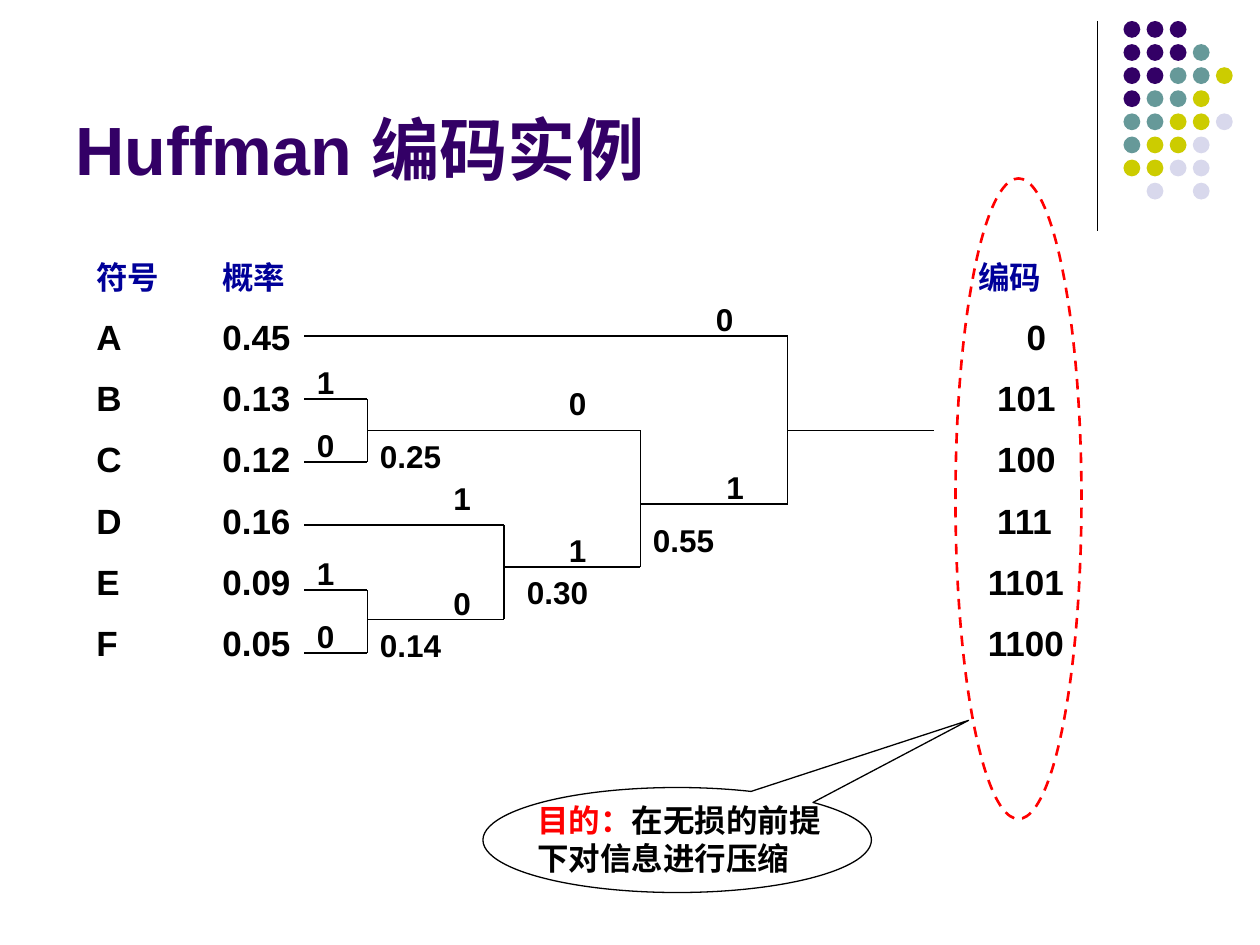
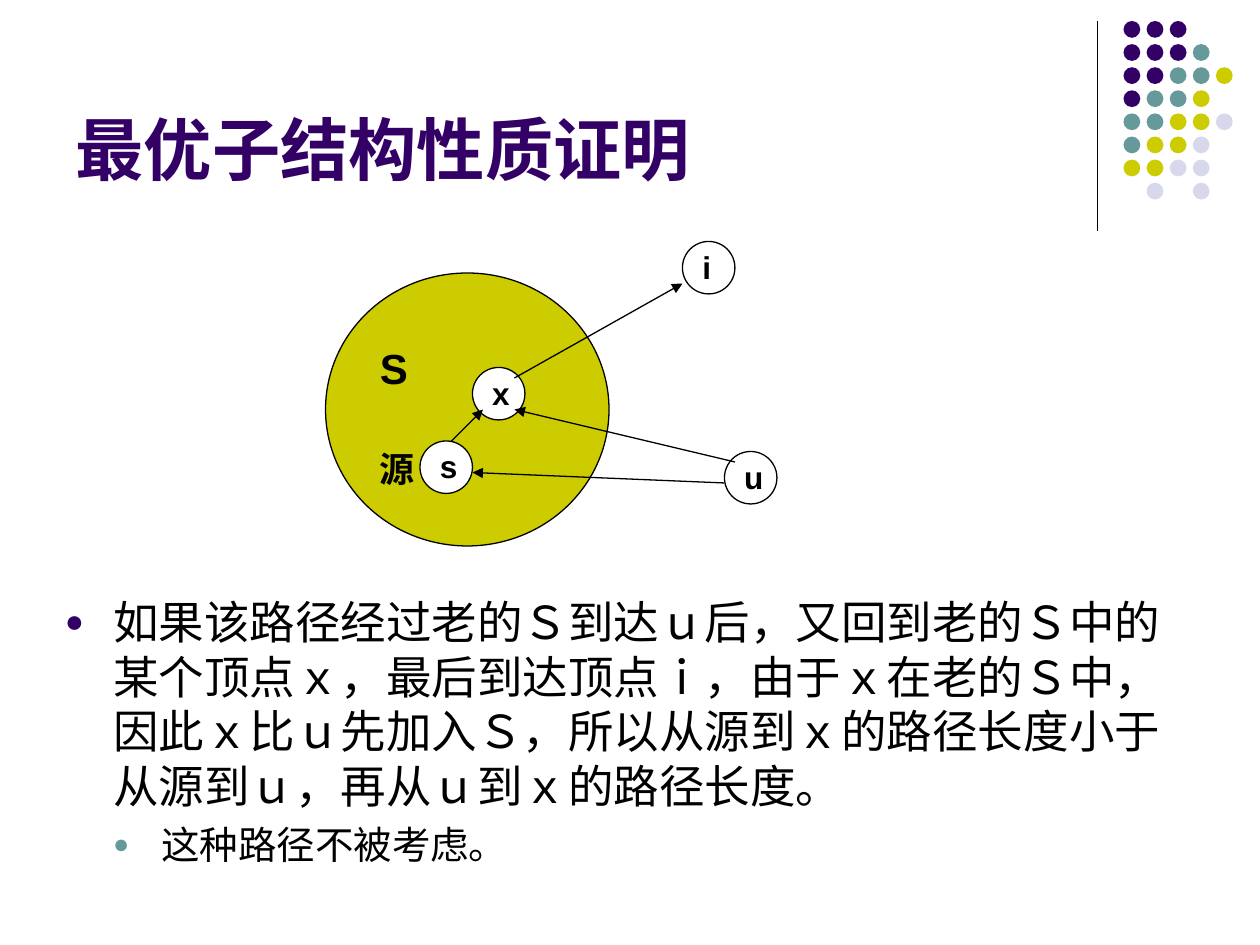
from lxml.etree import SubElement
from pptx import Presentation
from pptx.dml.color import RGBColor
from pptx.enum.dml import MSO_LINE
from pptx.enum.shapes import MSO_CONNECTOR, MSO_SHAPE
from pptx.enum.text import MSO_ANCHOR, MSO_AUTO_SIZE, PP_ALIGN
from pptx.oxml.ns import qn
from pptx.util import Pt

PX = 7620  # EMU per px, 120 px to the inch
FONT = "Arial"
TITLE_ONLY = 5
OVAL = MSO_SHAPE.OVAL
CALLOUT = MSO_SHAPE.OVAL_CALLOUT
STRAIGHT = MSO_CONNECTOR.STRAIGHT
DASH = MSO_LINE.DASH
BOTTOM = MSO_ANCHOR.BOTTOM
LEFT = PP_ALIGN.LEFT
FIXED = MSO_AUTO_SIZE.NONE

COLORS = {
    "black": "000000", "white": "FFFFFF", "red": "FF0000", "navy": "000099",
    "plum": "330066", "teal": "669999", "lime": "CCCC00", "mist": "D8D8EC",
}

# Dot pattern of the corner mark
DOTS = ["PPP", "PPPT", "PPTTY", "PTTY", "TTYYL", "TYYL", "YYLL", ".L.L"]
DOT_INK = {"P": "plum", "T": "teal", "Y": "lime", "L": "mist"}

# Symbol, probability, code and indent of the code
ROWS = [
    ("符号", "概率", "编码", 0),
    ("A", "0.45", "0", 46),
    ("B", "0.13", "101", 18),
    ("C", "0.12", "100", 18),
    ("D", "0.16", "111", 18),
    ("E", "0.09", "1101", 9),
    ("F", "0.05", "1100", 9),
]

# Upper branch, lower branch, x of the joint, labels
MERGES = [
    ((0, 100), (0, 160), 60,
     [("1", 0, 60), ("0", 0, 120), ("0.25", 60, 130)]),
    ((0, 282), (0, 342), 60,
     [("1", 0, 242), ("0", 0, 302), ("0.14", 60, 310)]),
    ((0, 220), (60, 310), 190,
     [("1", 130, 170), ("0", 130, 270), ("0.30", 200, 260)]),
    ((60, 130), (190, 260), 320,
     [("0", 240, 80), ("1", 240, 220), ("0.55", 320, 210)]),
    ((0, 40), (320, 200), 460, [("0", 380, 0), ("1", 390, 160)]),
]

NODES = [("x", 140, 120), ("i", 340, 0), ("u", 380, 200), ("s", 90, 190)]
ARROWS = [
    ((180, 130), (340, 40)),
    ((120, 190), (150, 160)),
    ((380, 230), (140, 220)),
    ((390, 210), (180, 160)),
]

PROOF = ("如果该路径经过老的Ｓ到达ｕ后，又回到老的Ｓ中的某个顶点ｘ，"
         "最后到达顶点ｉ，由于ｘ在老的Ｓ中，因此ｘ比ｕ先加入Ｓ，"
         "所以从源到ｘ的路径长度小于从源到ｕ，再从ｕ到ｘ的路径长度。")


def rgb(name):
    return RGBColor.from_string(COLORS[name])


def scale(*values):
    return [round(v * PX) for v in values]


def add_run(para, text, size, color="black", bold=True):
    run = para.add_run()
    run.text = text
    font = run.font
    font.name, font.size, font.bold = FONT, Pt(size), bold
    font.color.rgb = rgb(color)


def add_box(shapes, x, y, w, h):
    frame = shapes.add_textbox(*scale(x, y, w, h)).text_frame
    frame.word_wrap = True
    return frame


def add_label(shapes, text, x, y, w=40, h=48, size=18):
    add_run(add_box(shapes, x, y, w, h).paragraphs[0], text, size)


def add_form(shapes, kind, x, y, w, h, fill=None, line="black", width=0.75):
    form = shapes.add_shape(kind, *scale(x, y, w, h))
    form.shadow.inherit = False
    if fill:
        form.fill.solid()
        form.fill.fore_color.rgb = rgb(fill)
    else:
        form.fill.background()
    if line:
        form.line.color.rgb = rgb(line)
        form.line.width = Pt(width)
    else:
        form.line.fill.background()
    return form


def add_line(shapes, start, end, arrow=False):
    line = shapes.add_connector(STRAIGHT, *scale(*start, *end))
    line.line.color.rgb = rgb("black")
    line.line.width = Pt(0.75)
    props = line.element.spPr
    if arrow:
        SubElement(props.find(qn("a:ln")), qn("a:tailEnd"), type="triangle")
    SubElement(props, qn("a:effectLst"))


def add_mark(slide, x, y):
    """Corner rule and dots, moved to the layout that all slides share."""
    group = slide.shapes.add_group_shape()
    add_line(group.shapes, (x, y), (x, y + 200))
    for row, inks in enumerate(DOTS):
        for col, ink in enumerate(inks):
            if ink in DOT_INK:
                add_form(group.shapes, OVAL, x + 25 + col * 22, y + row * 22,
                         16, 16, DOT_INK[ink], None)
    for num, node in enumerate(group.element.iter(qn("p:cNvPr")), 100):
        node.set("id", str(num))
    slide.slide_layout.shapes.element.append(group.element)


def add_title(slide, text):
    title = slide.shapes.title
    title.left, title.top, title.width, title.height = scale(60, 16, 990, 170)
    frame = title.text_frame
    frame.auto_size = FIXED
    frame.vertical_anchor = BOTTOM
    para = frame.paragraphs[0]
    para.alignment = LEFT
    add_run(para, text, 39, "plum")


def add_codes(shapes, x, y, w, h):
    """Symbols, probabilities and codes, set in columns by tab stops."""
    frame = add_box(shapes, x, y, w, h)
    for i, (sign, prob, code, shift) in enumerate(ROWS):
        para = frame.add_paragraph() if i else frame.paragraphs[0]
        tabs = SubElement(para._p.get_or_add_pPr(), qn("a:tabLst"))
        for stop in scale(120, 840 + shift):
            SubElement(tabs, qn("a:tab"), pos=str(stop), algn="l")
        if i:
            para.space_before = Pt(11)
        size, color = (20, "black") if i else (18, "navy")
        add_run(para, f"{sign}\t{prob}\t{code}", size, color)


def add_tree(shapes, x, y):
    """Merges of the code tree, from the leaves to the root."""
    for upper, lower, joint, labels in MERGES:
        ends = []
        for left, level in (upper, lower):
            end = (x + joint, y + level)
            add_line(shapes, (x + left, y + level), end)
            ends.append(end)
        add_line(shapes, *ends)
        for text, dx, dy in labels:
            add_label(shapes, text, x + dx, y + dy, 40 if len(text) == 1 else 90)
    add_line(shapes, (x + 460, y + 130), (x + 600, y + 130))


def add_goal(shapes, x, y):
    """Ring round the codes, with the callout that points to it."""
    ring = add_form(shapes, OVAL, x + 450, y, 120, 610, None, "red", 1.5)
    ring.line.dash_style = DASH
    bubble = add_form(shapes, CALLOUT, x, y + 580, 370, 100)
    bubble.adjustments[0] = 0.75
    bubble.adjustments[1] = -1.14
    para = add_box(shapes, x + 40, y + 587, 320, 84).paragraphs[0]
    add_run(para, "目的：", 18, "red")
    add_run(para, "在无损的前提下对信息进行压缩", 18)


def add_graph(shapes, x, y):
    """Set S with its source, and the paths through u, x and i."""
    add_form(shapes, OVAL, x, y + 30, 270, 260, "lime")
    add_label(shapes, "S", x + 40, y + 90, 60, 60, 24)
    add_label(shapes, "源", x + 40, y + 190, 60, 52, 20)
    for name, dx, dy in NODES:
        add_form(shapes, OVAL, x + dx, y + dy, 50, 50, "white")
        add_label(shapes, name, x + dx + 7, y + dy)
    for start, end in ARROWS:
        add_line(shapes, (x + start[0], y + start[1]),
                 (x + end[0], y + end[1]), arrow=True)


def add_proof(shapes, x, y, w, h):
    """Bulleted argument in two levels."""
    frame = add_box(shapes, x, y, w, h)
    levels = [(PROOF, 26, "plum"), ("这种路径不被考虑。", 22, "teal")]
    for i, (text, size, ink) in enumerate(levels):
        para = frame.add_paragraph() if i else frame.paragraphs[0]
        para.level = i
        props = para._p.get_or_add_pPr()
        margin, hang = scale(46 * (i + 1), -46)
        props.set("marL", str(margin))
        props.set("indent", str(hang))
        tint = SubElement(props, qn("a:buClr"))
        SubElement(tint, qn("a:srgbClr"), val=COLORS[ink])
        SubElement(props, qn("a:buSzPct"), val="70000")
        SubElement(props, qn("a:buFont"), typeface=FONT)
        SubElement(props, qn("a:buChar"), char="●")
        if i:
            para.space_before = Pt(5)
        add_run(para, text, size, bold=False)


def main():
    deck = Presentation()
    deck.slide_width, deck.slide_height = scale(1200, 900)
    layout = deck.slide_layouts[TITLE_ONLY]

    # Huffman code tree
    slide = deck.slides.add_slide(layout)
    add_mark(slide, 1045, 20)
    add_title(slide, "Huffman 编码实例")
    add_codes(slide.shapes, 80, 240, 1030, 416)
    add_tree(slide.shapes, 290, 280)
    add_goal(slide.shapes, 460, 170)

    # Proof of the optimal substructure
    slide = deck.slides.add_slide(layout)
    add_title(slide, "最优子结构性质证明")
    add_graph(slide.shapes, 310, 230)
    add_proof(slide.shapes, 50, 560, 1104, 284)

    deck.save("out.pptx")


if __name__ == "__main__":
    main()
